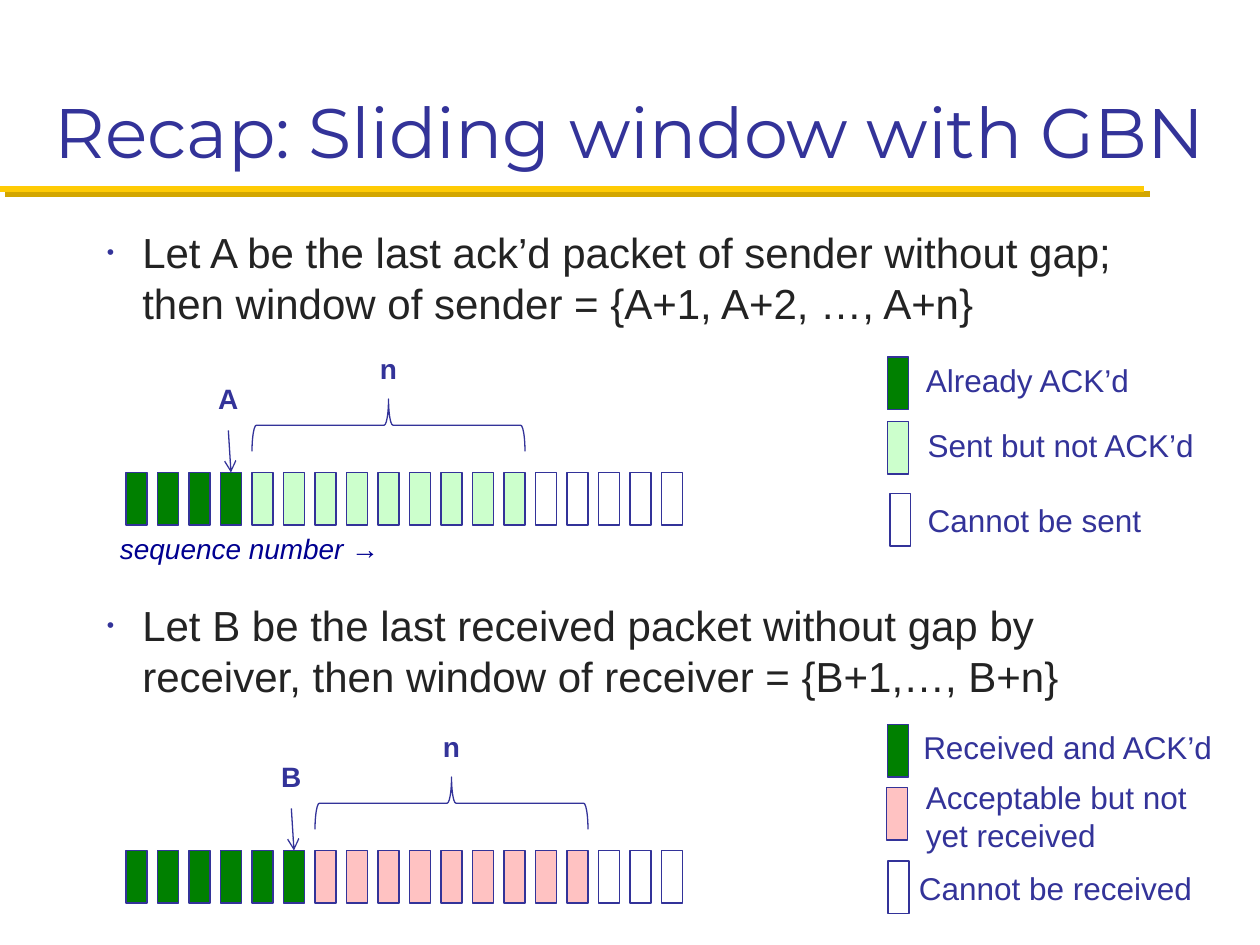
from lxml import etree
from pptx import Presentation
from pptx.dml.color import RGBColor
from pptx.enum import shapes, text
from pptx.oxml import parse_xml
from pptx.oxml.ns import nsdecls, qn
from pptx.util import Pt


class Theme:
    ink, body, note = "333399", "232323", "000090"
    rule, rule_shadow = "FFCB05", "D3A600"
    done, sent, accept, blocked = "008000", "CCFFCC", "FFC2C2", "FFFFFF"
    font, title_font = "Arial", "Montserrat"
    title_sz, body_sz, legend_sz, label_sz = 40, 24, 18, 16
    line = 0.75


CELL_W, CELL_H, PITCH, CELLS, WINDOW = 12, 30, 18, 18, 9


def rgb(value):
    return RGBColor.from_string(value)


def style_font(font, color, **fmt):
    font.color.rgb = rgb(color)
    for name, value in fmt.items():
        setattr(font, name, value)


def add_text(s, box, content, color, size, wrap=False, **fmt):
    tf = s.shapes.add_textbox(*map(Pt, box)).text_frame
    tf.word_wrap = wrap
    tf.auto_size = text.MSO_AUTO_SIZE.SHAPE_TO_FIT_TEXT
    p = tf.paragraphs[0]
    p.text = content
    for r in p.runs:
        style_font(r.font, color, name=Theme.font, size=Pt(size), **fmt)


def add_shape(s, kind, box, fill=None):
    sp = s.shapes.add_shape(kind, *map(Pt, box))
    sp.shadow.inherit = False
    if fill:
        sp.fill.solid()
        sp.fill.fore_color.rgb = rgb(fill)
    else:
        sp.fill.background()
    sp.line.color.rgb = rgb(Theme.ink)
    sp.line.width = Pt(Theme.line)
    return sp


def add_cell(s, x, y, fill):
    add_shape(s, shapes.MSO_SHAPE.RECTANGLE, (x, y, CELL_W, CELL_H), fill)


def add_line(s, start, end, color, width):
    ln = s.shapes.add_connector(shapes.MSO_CONNECTOR.STRAIGHT, *map(Pt, (*start, *end)))
    ln.line.color.rgb = rgb(color)
    ln.line.width = Pt(width)
    effects = etree.SubElement(ln._element.spPr, qn("a:effectLst"))
    return ln, effects


def header(s, x, y, w, h):
    # Title and the shadowed rule beneath it
    title = s.shapes.title
    for name, value in dict(left=x, top=y, width=w, height=h).items():
        setattr(title, name, Pt(value))
    tf = title.text_frame
    tf.word_wrap = True
    tf.auto_size = text.MSO_AUTO_SIZE.NONE
    tf.vertical_anchor = text.MSO_ANCHOR.BOTTOM
    p = tf.paragraphs[0]
    p.alignment = text.PP_ALIGN.LEFT
    r = p.add_run()
    r.text = "Recap: Sliding window with GBN"
    style_font(r.font, Theme.ink, name=Theme.title_font, size=Pt(Theme.title_sz))
    effects = add_line(s, (0, y + h + 6), (654, y + h + 6), Theme.rule, 3.5)[1]
    effects.append(parse_xml(
        f'<a:outerShdw {nsdecls("a")} dist="{Pt(4.2)}" dir="2700000" algn="ctr" '
        f'rotWithShape="0"><a:srgbClr val="{Theme.rule_shadow}"/></a:outerShdw>'))


def bullets(s, x, y, w, h, items):
    # Bulleted statements, each with its own space before
    tf = s.shapes.add_textbox(*map(Pt, (x, y, w, h))).text_frame
    tf.word_wrap = True
    for i, (content, gap) in enumerate(items):
        p = tf.add_paragraph() if i else tf.paragraphs[0]
        p.space_before = Pt(gap)
        r = p.add_run()
        r.text = content
        style_font(r.font, Theme.body, name=Theme.font, size=Pt(Theme.body_sz))
        pPr = p._p.get_or_add_pPr()
        pPr.set("marL", str(Pt(20.25)))
        pPr.set("indent", str(Pt(-20.25)))
        for xml in (f'<a:buClr {nsdecls("a")}><a:srgbClr val="{Theme.ink}"/></a:buClr>',
                    f'<a:buSzPct {nsdecls("a")} val="50000"/>',
                    f'<a:buFont {nsdecls("a")} typeface="{Theme.font}"/>',
                    f'<a:buChar {nsdecls("a")} char="•"/>'):
            pPr.append(parse_xml(xml))


def packet_row(s, x, y, marker, done, window_fill):
    # Packets: finished, inside the window, outside the window
    fills = [Theme.done] * done + [window_fill] * WINDOW
    fills += [Theme.blocked] * (CELLS - len(fills))
    for i, fill in enumerate(fills):
        add_cell(s, x + i * PITCH, y, fill)
    # Brace over the window
    span = WINDOW * PITCH - (PITCH - CELL_W)
    mid = x + done * PITCH + span / 2
    brace = add_shape(s, shapes.MSO_SHAPE.LEFT_BRACE,
                      (mid - 15, y - 27 - span / 2, 30, span))
    brace.rotation = 90
    # Labels and the arrow to the last finished packet
    last = x + (done - 1) * PITCH
    for label, lx, ly in (("n", mid - 12, y - 72.5), (marker, last - 8.5, y - 55.5)):
        add_text(s, (lx, ly, 27, 32), label, Theme.ink, Theme.label_sz, bold=True)
    arrow = add_line(s, (last + 4.5, y - 24), (last + 6, y), Theme.ink, Theme.line)[0]
    etree.SubElement(arrow.line._get_or_add_ln(), qn("a:tailEnd"), type="arrow")


def legend(s, x, y, rows):
    # Each row: fill, swatch offset, label, label offset
    for fill, (sx, sy), label, (tx, ty) in rows:
        add_cell(s, x + sx, y + sy, fill)
        height = 29 + 22 * label.count("\v")
        add_text(s, (x + tx, y + ty, 184, height), label, Theme.ink, Theme.legend_sz)


prs = Presentation()
prs.slide_width, prs.slide_height = Pt(720), Pt(540)
s = prs.slides.add_slide(prs.slide_layouts[5])

header(s, 24, 12, 672, 90)
bullets(s, 54, 126, 624, 348, [
    ("Let A be the last ack’d packet of sender without gap; "
     "then window of sender = {A+1, A+2, …, A+n}", 0),
    ("Let B be the last received packet without gap by receiver, "
     "then window of receiver = {B+1,…, B+n}", 155.5)])

# Sender
packet_row(s, 72, 270, "A", 4, Theme.sent)
add_text(s, (61.5, 300, 208, 27), "sequence number →", Theme.note, Theme.label_sz,
         wrap=True, italic=True)
legend(s, 507, 204, [
    (Theme.done, (0, 0), "Already ACK’d", (15, -1)),
    (Theme.sent, (0, 37), "Sent but not ACK’d", (16, 36)),
    (Theme.blocked, (1.5, 78), "Cannot be sent", (16, 79))])

# Receiver
packet_row(s, 72, 486, "B", 6, Theme.accept)
legend(s, 507, 414, [
    (Theme.done, (0, 0), "Received and ACK’d", (13.5, -1.5)),
    (Theme.accept, (-0.5, 36), "Acceptable but not\vyet received", (15, 27)),
    (Theme.blocked, (0.5, 78), "Cannot be received", (11, 79))])

prs.save("out.pptx")
